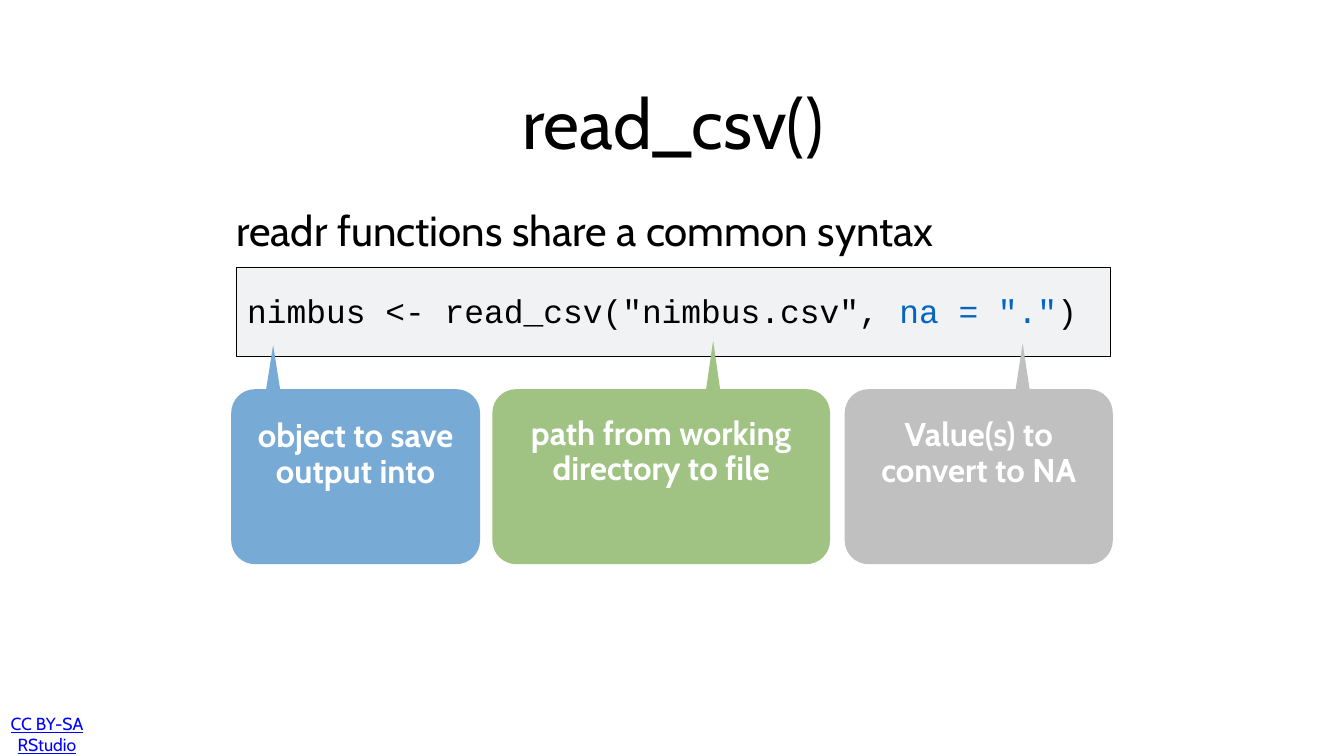
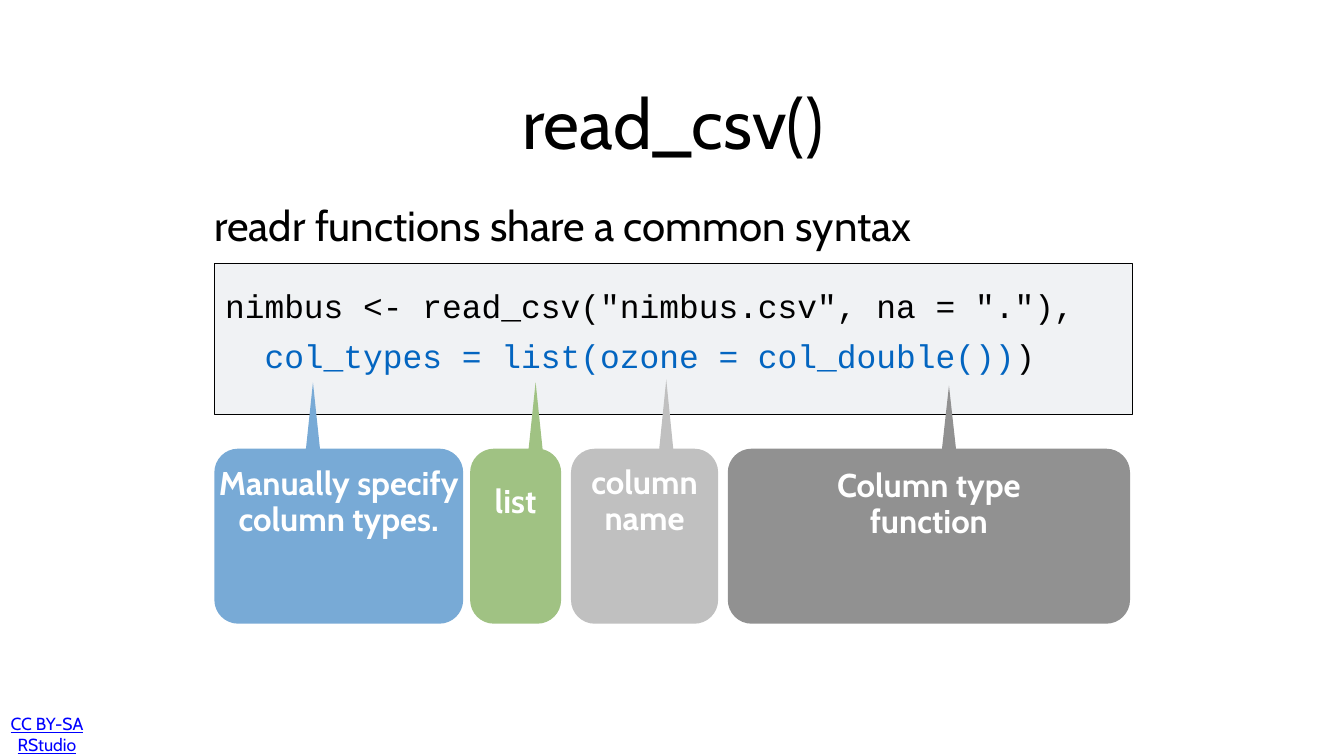
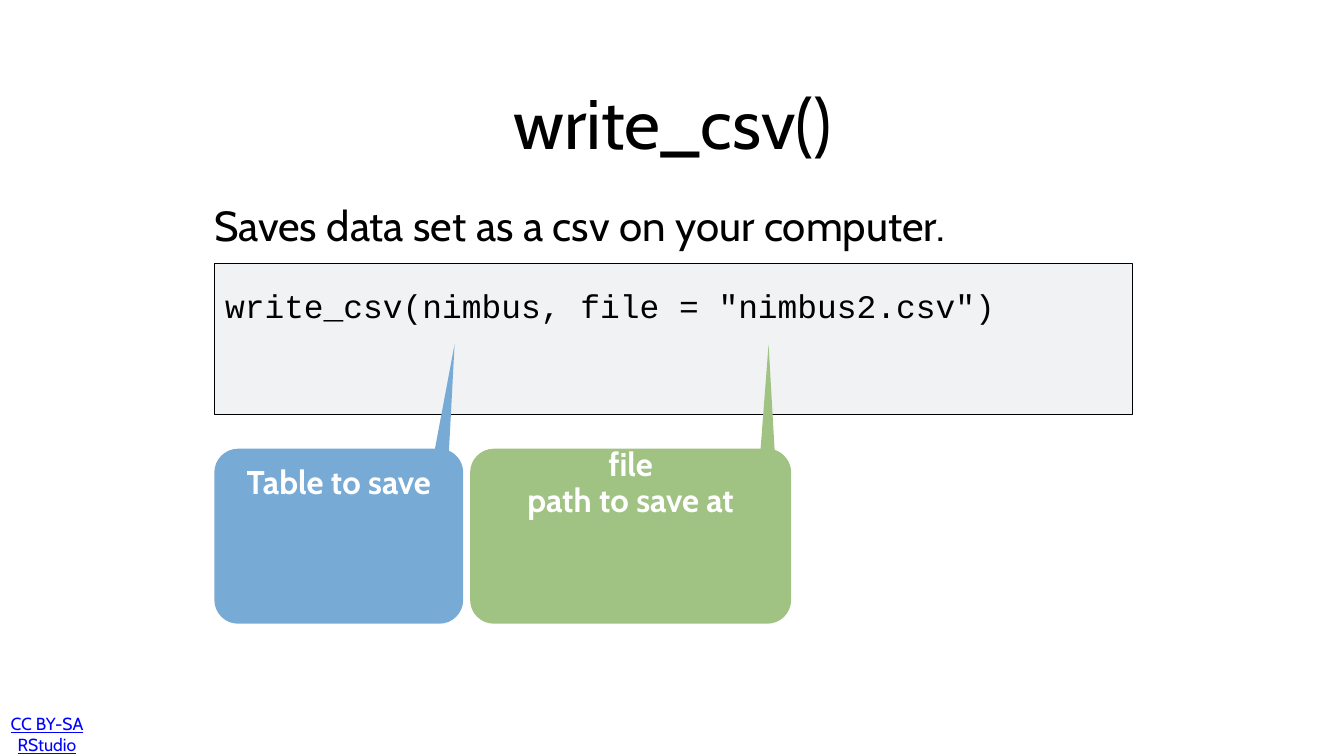
from dataclasses import dataclass
from math import asin, cos, pi, sin, tan

from pptx import Presentation
from pptx.dml.color import RGBColor as Rgb
from pptx.enum.shapes import MSO_SHAPE as Kind
from pptx.enum.text import MSO_ANCHOR as Anchor, PP_ALIGN as Align
from pptx.oxml.ns import qn
from pptx.util import Pt


@dataclass(frozen=True)
class Theme:
    ink: str = "000000"
    pale: str = "F0F2F4"
    white: str = "FFFFFF"
    link: str = "0000FF"
    mark: str = "0365C0"
    blue: str = "78AAD6"
    green: str = "A0C283"
    light: str = "C0C0C0"
    dark: str = "919191"
    sans: str = "Cabin"
    mono: str = "Courier New"
    title: int = 100
    lead: int = 60
    code: int = 47
    foot: int = 25


look = Theme()
ROUND, HALF = 34, 10  # corner radius, half the width of a pointer's foot


def write(frame, lines, size, face=look.sans, align=Align.LEFT, anchor=Anchor.MIDDLE,
          inset=4, bold=False, gap=0, lead=None):
    """Fill a frame; each line is a list of (text, colour) runs."""
    frame.word_wrap = True
    frame.vertical_anchor = anchor
    frame.margin_left = frame.margin_right = Pt(inset)
    frame.margin_top = frame.margin_bottom = Pt(inset)
    for i, runs in enumerate(lines):
        para = frame.add_paragraph() if i else frame.paragraphs[0]
        para.alignment = align
        if lead:
            para.line_spacing = lead
        if i and gap:
            para.space_before = Pt(gap)
        para.font.name, para.font.size, para.font.bold = face, Pt(size), bold
        for text, tone in runs:
            run = para.add_run()
            run.text = text
            run.font.color.rgb = Rgb.from_string(tone)


def balloon(shapes, left, wide, top, high, tip, mid):
    """Draw a rounded box whose pointer rises from mid to tip."""
    right, low = left + wide - ROUND, top + high - ROUND
    lean = max(0, mid + HALF - right)
    points = [tip] if lean else [tip, (mid + HALF, top)]
    hubs = [(right, top + ROUND), (right, low), (left + ROUND, low), (left + ROUND, top + ROUND)]
    for turn, (x, y) in enumerate(hubs):
        start = turn * pi / 2 if turn else asin(lean / ROUND)
        end = (turn + 1) * pi / 2
        pull = 4 / 3 * tan((end - start) / 4)
        for angle, reach in ((start, 0), (start, pull), (end, -pull), (end, 0)):
            points.append((x + ROUND * (sin(angle) + reach * cos(angle)),
                           y - ROUND * (cos(angle) - reach * sin(angle))))
    points.append((mid - HALF, top))

    points = [(Pt(x), Pt(y)) for x, y in points]
    pen = shapes.build_freeform(*points[0])
    pen.add_line_segments(points[1:], close=True)
    shape = pen.convert_to_shape()

    # Each corner is four points: its start, two controls and its end.
    track = next(shape.element.iter(qn("a:path")))
    bends = track.findall(qn("a:lnTo"))[-17:-1]
    for i in range(0, 16, 4):
        curve, *rest = bends[i + 1:i + 4]
        curve.tag = qn("a:cubicBezTo")
        for line in rest:
            curve.append(line[0])
            track.remove(line)
    return shape


# Code panel: left, top, width, height
small = (337.7, 382.3, 1248.5, 127.4)
large = (306, 375.8, 1311.1, 216.7)

# Title, lead, panel, height of code text, code, top of callouts,
# callouts (left, width, pointer tip, middle of pointer foot, colour, lines)
pages = [
    ("read_csv()", "readr functions share a common syntax", small, 112.3,
     [[('nimbus <- read_csv("nimbus.csv",', look.ink), (' na = "."', look.mark),
       (")", look.ink)]],
     556, [
         (330.3, 355.5, (390.2, 493), 390.2, look.blue, ["object to save output into"]),
         (703.4, 482.4, (1018.8, 486.7), 1018.8, look.green,
          ["path from working directory to file"]),
         (1206.7, 383, (1460.9, 490.3), 1460.9, look.light, ["Value(s) to convert to NA"]),
     ]),
    ("read_csv()", "readr functions share a common syntax", large, 180,
     [[('nimbus <- read_csv("nimbus.csv", na = "."),', look.ink)],
      [("  col_types = list(ozone = col_double())", look.mark), (")", look.ink)]],
     641, [
         (306.2, 355.5, (447.1, 546.3), 447.1, look.blue, ["Manually specify column types."]),
         (671.6, 130, (765.2, 545.8), 765.2, look.green, ["list"]),
         (815.7, 210.2, (951.8, 542.2), 951.8, look.light, ["column name"]),
         (1039.7, 574.6, (1355.7, 550.8), 1355.7, look.dark, ["Column type", "function"]),
     ]),
    ("write_csv()", "Saves data set as a csv on your computer.", large, 180,
     [[('write_csv(nimbus, file = "nimbus2.csv")', look.ink)]],
     641, [
         (306.2, 355.5, (649.4, 491.8), 631.4, look.blue, ["Table to save"]),
         (671.6, 458.6, (1098, 491.8), 1096.6, look.green, ["file", "path to save at"]),
     ]),
]

deck = Presentation()
deck.slide_width, deck.slide_height = Pt(1920), Pt(1080)

for title, lead, panel, high, code, top, notes in pages:
    shapes = deck.slides.add_slide(deck.slide_layouts[6]).shapes

    foot = shapes.add_textbox(Pt(8.6), Pt(1026.7), Pt(191.5), Pt(43.2)).text_frame
    write(foot, [[("CC BY-SA RStudio", look.link)]], look.foot, align=Align.CENTER, inset=5.6)
    foot.margin_right = Pt(80)
    foot.paragraphs[0].font.underline = True

    head = shapes.add_textbox(Pt(316.8), Pt(79.2), Pt(1288.8), Pt(188.6))
    write(head.text_frame, [[(title, look.ink)]], look.title, align=Align.CENTER)

    x, y, wide, tall = panel
    intro = shapes.add_textbox(Pt(x - 4), Pt(y - 144.8), Pt(1082), Pt(180))
    write(intro.text_frame, [[(lead, look.ink)]], look.lead)

    board = shapes.add_shape(Kind.RECTANGLE, Pt(x), Pt(y), Pt(wide), Pt(tall))
    board.shadow.inherit = False
    board.fill.solid()
    board.fill.fore_color.rgb = Rgb.from_string(look.pale)
    board.line.color.rgb = Rgb.from_string(look.ink)
    board.line.width = Pt(1)

    text = shapes.add_textbox(Pt(x + 11.5), Pt(y + 28.8), Pt(wide - 22.3), Pt(high))
    write(text.text_frame, code, look.code, look.mono, anchor=Anchor.TOP, gap=15)

    for left, width, tip, mid, tone, lines in notes:
        note = balloon(shapes, left, width, top, 250, tip, mid)
        note.shadow.inherit = False
        note.fill.solid()
        note.fill.fore_color.rgb = Rgb.from_string(tone)
        note.line.fill.background()
        write(note.text_frame, [[(line, look.white)] for line in lines], look.code,
              align=Align.CENTER, inset=5.6, bold=True, lead=0.9)

deck.save("out.pptx")
